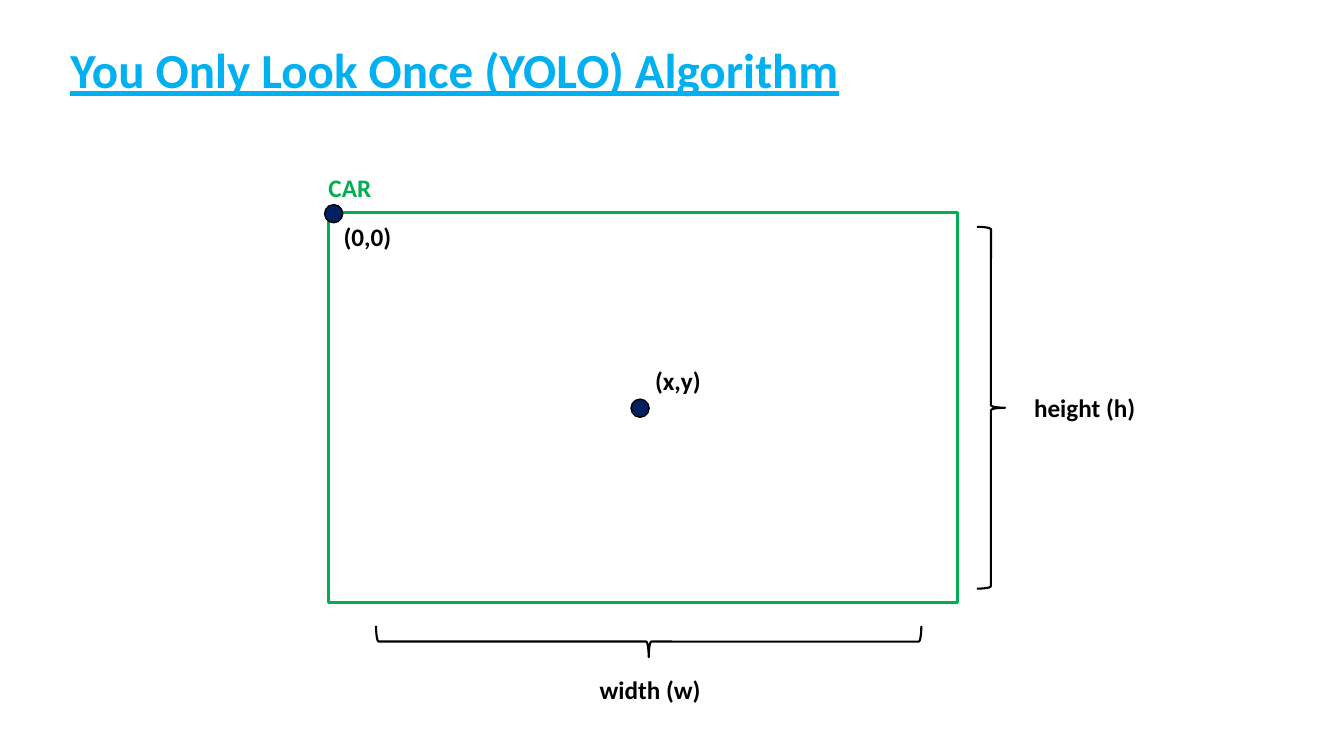
import pptx
import pptx.dml.color
import pptx.enum.shapes
import pptx.enum.text
import pptx.util

COLORS = {"title": "00B0F0", "box": "00B050", "dot": "002060", "ink": "000000"}
SHAPES = pptx.enum.shapes.MSO_SHAPE

deck = pptx.Presentation()
deck.slide_width = pptx.util.Inches(13.333)
deck.slide_height = pptx.util.Inches(7.5)
page = deck.slides.add_slide(deck.slide_layouts[6])

# The page is a grid of 100 columns by 100 rows.
COLUMN = deck.slide_width / 100
ROW = deck.slide_height / 100


def add_outline(kind, left, top, width, height, line_color, line_width, fill=None):
    """Add a preset shape, placed in columns and rows; it is hollow without a fill."""
    shape = page.shapes.add_shape(
        kind, int(left * COLUMN), int(top * ROW), int(width * COLUMN), int(height * ROW))
    shape.shadow.inherit = False
    shape.line.color.rgb = pptx.dml.color.RGBColor.from_string(COLORS[line_color])
    shape.line.width = pptx.util.Pt(line_width)
    if fill:
        shape.fill.solid()
        shape.fill.fore_color.rgb = pptx.dml.color.RGBColor.from_string(COLORS[fill])
    else:
        shape.fill.background()
    return shape


def add_label(text, left, top, width, height=5.33, color="ink", size=18, wrap=False):
    """Add a bold one-line text box, placed in columns and rows."""
    box = page.shapes.add_textbox(
        int(left * COLUMN), int(top * ROW), int(width * COLUMN), int(height * ROW))
    box.text_frame.word_wrap = wrap
    para = box.text_frame.paragraphs[0]
    span = para.add_run()
    span.text = text
    span.font.name = "Calibri"
    span.font.size = pptx.util.Pt(size)
    span.font.bold = True
    span.font.color.rgb = pptx.dml.color.RGBColor.from_string(COLORS[color])
    return box


title = add_label("You Only Look Once (YOLO) Algorithm", 4.5, 0, 86.25, 19.33,
                  color="title", size=35, wrap=True)
title.text_frame.vertical_anchor = pptx.enum.text.MSO_ANCHOR.MIDDLE
title.text_frame.paragraphs[0].line_spacing = 0.9
title.text_frame.paragraphs[0].runs[0].font.underline = True

# Bounding box with its class name
add_outline(SHAPES.RECTANGLE, 24.45, 28.13, 46.8, 51.6, "box", 2.25)
add_label("CAR", 23.7, 22.13, 17.85, color="box", wrap=True)

# Centre and origin
for left, top in [(46.95, 52.8), (24.15, 27.07)]:
    add_outline(SHAPES.OVAL, left, top, 1.35, 2.4, "ink", 1, fill="dot")

# Height and width braces
add_outline(SHAPES.RIGHT_BRACE, 72.68, 30, 2.1, 47.87, "ink", 1.5)
width_brace = add_outline(SHAPES.RIGHT_BRACE, 47.1, 48.8, 2.33, 72.13, "ink", 1.5)
width_brace.rotation = 90

for text, left, top, width in [
    ("(x,y)", 48, 47.6, 4.95),
    ("(0,0)", 24.83, 28.67, 5.1),
    ("height (h)", 76.2, 51.2, 9.08),
    ("width (w)", 43.88, 88.53, 9.08),
]:
    add_label(text, left, top, width)

deck.save("out.pptx")
